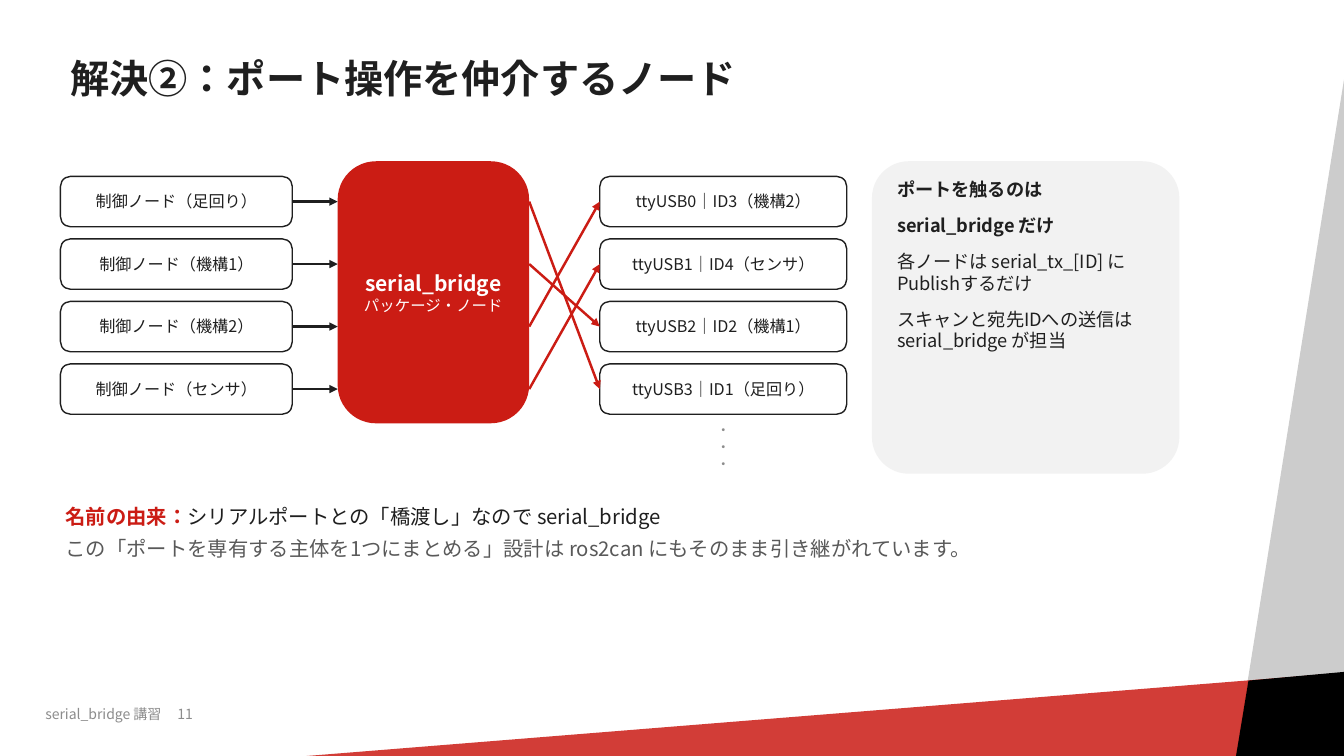
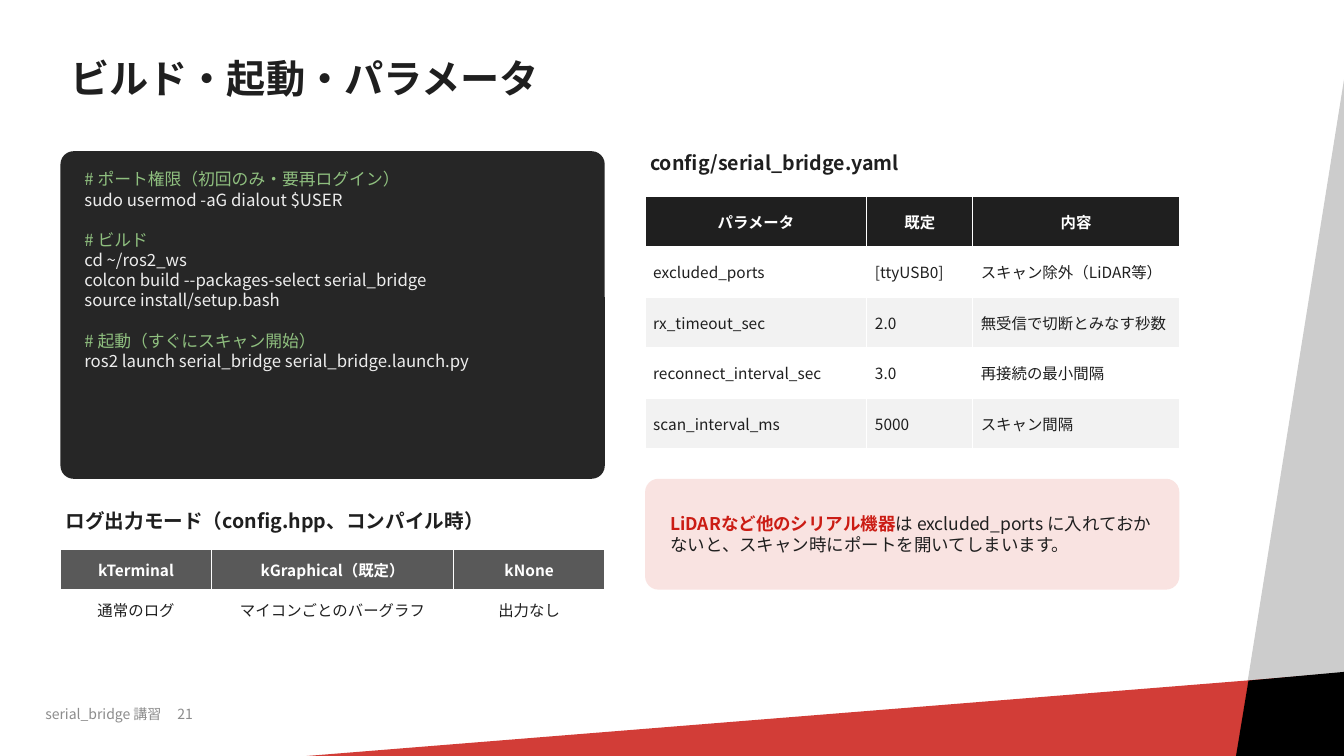
import pptx
import pptx.dml.color
import pptx.enum.lang
import pptx.enum.shapes
import pptx.enum.text
import pptx.oxml
import pptx.oxml.ns
import pptx.util
import lxml.etree

FONT = "Noto Sans CJK JP"
INK, WHITE, RED = "1F1F1F", "FFFFFF", "CB1C14"
DARK_GRAY, GRAY, BAND_GRAY, PALE_GRAY = "595959", "8C8C8C", "CCCCCC", "F2F2F2"
PALE_RED, CODE_BACK, CODE_TEXT, CODE_COMMENT = "F9E3E1", "262626", "EDEDED", "8FBF7F"
COLUMNS, ROWS = 133.33, 75
LEFT_EDGE, RIGHT_EDGE = 6, 117
NODE_TOP, NODE_PITCH, NODE_HEIGHT, NODE_COUNT = 17.5, 6.2, 5, 4
ALIGN = pptx.enum.text.PP_ALIGN
ANCHOR = pptx.enum.text.MSO_ANCHOR
SHAPE = pptx.enum.shapes.MSO_SHAPE


def grid(steps):
    """Turn grid steps, ten to the inch, into a length."""
    return pptx.util.Inches(steps / 10)


def color(value):
    """Turn a hex string into a colour."""
    return pptx.dml.color.RGBColor.from_string(value)


def child(parent, tag, **attributes):
    """Append a drawing element to a parent element."""
    return lxml.etree.SubElement(parent, pptx.oxml.ns.qn(tag), attributes)


def write(frame, paragraphs, size, align=ALIGN.LEFT, after=0):
    """Fill a text frame with paragraphs of (text, colour, bold, size) runs."""
    for index, runs in enumerate(paragraphs):
        paragraph = frame.add_paragraph() if index else frame.paragraphs[0]
        paragraph.alignment = align
        paragraph.space_after = pptx.util.Pt(after)
        for text, value, bold, *own_size in runs:
            run = paragraph.add_run()
            run.text = text
            run.font.size = pptx.util.Pt(own_size[0] if own_size else size)
            run.font.bold = bold
            run.font.color.rgb = color(value)
            run.font.name = FONT
            run.font.language_id = pptx.enum.lang.MSO_LANGUAGE_ID.JAPANESE
            child(run.font._element, "a:ea", typeface=FONT)


def prepare(frame, horizontal, vertical, anchor):
    """Set wrapping, margins and anchor of a frame or table cell."""
    frame.word_wrap = True
    frame.margin_left = frame.margin_right = grid(horizontal)
    frame.margin_top = frame.margin_bottom = grid(vertical)
    frame.vertical_anchor = anchor


def add_text(slide, area, paragraphs, size, margins=(0.5, 0.5),
             anchor=ANCHOR.TOP, align=ALIGN.LEFT, after=4):
    """Add a text box on the grid and return its frame."""
    frame = slide.shapes.add_textbox(*map(grid, area)).text_frame
    prepare(frame, *margins, anchor)
    write(frame, paragraphs, size, align, after)
    return frame


def add_filled(slide, kind, area, fill):
    """Add a preset shape with a plain fill and no line."""
    shape = slide.shapes.add_shape(kind, *map(grid, area))
    shape.shadow.inherit = False
    shape.fill.solid()
    shape.fill.fore_color.rgb = color(fill)
    shape.line.fill.background()
    return shape


def add_panel(slide, area, fill, radius, outline=None):
    """Add a rounded rectangle on the grid."""
    shape = add_filled(slide, SHAPE.ROUNDED_RECTANGLE, area, fill)
    shape.adjustments[0] = radius
    if outline:
        shape.line.color.rgb = color(outline)
        shape.line.width = pptx.util.Pt(1)
    return shape


def add_node(slide, area, paragraphs, size, fill=WHITE, outline=INK):
    """Add a rounded box with centred text."""
    shape = add_panel(slide, area, fill, 0.2, outline)
    prepare(shape.text_frame, 0.8, 0.4, ANCHOR.MIDDLE)
    write(shape.text_frame, paragraphs, size, ALIGN.CENTER)
    return shape


def add_node_stack(slide, left, width, labels):
    """Add a column of equal boxes, one for each label."""
    return [add_node(slide, (left, NODE_TOP + row * NODE_PITCH, width, NODE_HEIGHT),
                     [[(label, INK, False)]], 11.5)
            for row, label in enumerate(labels)]


def add_arrow(slide, start, end, value):
    """Add a straight arrow between two grid points."""
    arrow = slide.shapes.add_connector(
        pptx.enum.shapes.MSO_CONNECTOR.STRAIGHT, *map(grid, start + end))
    arrow.line.color.rgb = color(value)
    arrow.line.width = pptx.util.Pt(1.75)
    child(arrow.line._get_or_add_ln(), "a:tailEnd", type="triangle")
    child(arrow._element.spPr, "a:effectLst")
    return arrow


def add_bands(slide):
    """Add the three slanted bands that bleed over the lower right corner."""
    gray = add_filled(slide, SHAPE.RECTANGLE, (62.9, 62.7, 136.7, 15.7), BAND_GRAY)
    gray.rotation = 279.1
    red = add_filled(slide, SHAPE.RECTANGLE, (5.9, 71.5, 136.7, 11.5), RED)
    red.rotation = 355.4
    value = red._element.spPr.find(".//" + pptx.oxml.ns.qn("a:srgbClr"))
    child(value, "a:alpha", val="85000")
    black = add_filled(slide, SHAPE.PARALLELOGRAM, (121.3, 66.9, 19.2, 11.8), "000000")
    black.adjustments[0] = 0.26
    black.rotation = 354.8


def add_table(slide, left, top, widths, row_height, rows, header_fill, body_align):
    """Add a table with a dark header and striped rows."""
    table = slide.shapes.add_table(
        len(rows), len(widths), grid(left), grid(top),
        grid(sum(widths)), grid(row_height * len(rows))).table
    for column, width in zip(table.columns, widths):
        column.width = grid(width)
    for row_index, texts in enumerate(rows):
        header = row_index == 0
        stripe = WHITE if row_index % 2 else PALE_GRAY
        table.rows[row_index].height = grid(row_height)
        for column_index, text in enumerate(texts):
            cell = table.cell(row_index, column_index)
            prepare_cell(cell, header_fill if header else stripe)
            write(cell.text_frame, [[(text, WHITE if header else INK, header)]], 11,
                  ALIGN.CENTER if header else body_align)


def prepare_cell(cell, fill):
    """Give a cell its margins, white borders and fill."""
    prepare(cell, 0.8, 0.3, ANCHOR.MIDDLE)
    properties = cell._tc.get_or_add_tcPr()
    for side in ("a:lnL", "a:lnR", "a:lnT", "a:lnB"):
        border = child(properties, side, w=str(pptx.util.Pt(1)))
        child(child(border, "a:solidFill"), "a:srgbClr", val=WHITE)
    cell.fill.solid()
    cell.fill.fore_color.rgb = color(fill)


def add_code(slide, area, lines):
    """Add a dark code panel with a gap before each later comment."""
    frame = add_panel(slide, area, CODE_BACK, 0.04).text_frame
    prepare(frame, 2, 1.4, ANCHOR.TOP)
    write(frame, [[(line, CODE_COMMENT if line.startswith("#") else CODE_TEXT, False)]
                  for line in lines], 12)
    for paragraph in frame.paragraphs[1:]:
        if paragraph.text.startswith("#"):
            paragraph.space_before = pptx.util.Pt(14.4)


def add_base_slide(presentation, title, number):
    """Add a slide with the shared bands, title and footer."""
    slide = presentation.slides.add_slide(presentation.slide_layouts[6])
    add_bands(slide)
    frame = add_text(slide, (LEFT_EDGE, 3.5, 86, 9), [[(title, INK, True)]], 28,
                     (1, 0.5), ANCHOR.MIDDLE)
    frame.paragraphs[0].line_spacing = 0.9
    footer = add_text(slide, (4.5, 70, 40, 3),
                      [[(f"serial_bridge 講習\t{number}", GRAY, False)]], 10, (0, 0))
    tabs = child(footer.paragraphs[0]._p.get_or_add_pPr(), "a:tabLst")
    child(tabs, "a:tab", pos=str(grid(13.1)), algn="l")
    return slide


def build_bridge_slide(presentation):
    """Show how one node mediates every port."""
    slide = add_base_slide(presentation, "解決②：ポート操作を仲介するノード", 11)
    controls = add_node_stack(slide, LEFT_EDGE, 23, [
        f"制御ノード（{part}）" for part in ("足回り", "機構1", "機構2", "センサ")])
    bridge_left, bridge_right, port_left, port_width = 33.5, 52.5, 59.5, 24.5
    add_node(slide, (bridge_left, 16, bridge_right - bridge_left, 26),
             [[("serial_bridge", WHITE, True, 15)], [("パッケージ・ノード", WHITE, False)]],
             11, RED, None)
    ports = add_node_stack(slide, port_left, port_width, [
        "ttyUSB0｜ID3（機構2）", "ttyUSB1｜ID4（センサ）",
        "ttyUSB2｜ID2（機構1）", "ttyUSB3｜ID1（足回り）"])
    middles = [NODE_TOP + NODE_HEIGHT / 2 + row * NODE_PITCH for row in range(NODE_COUNT)]
    for control, middle, target in zip(controls, middles, (3, 2, 0, 1)):
        incoming = add_arrow(slide, (29, middle), (bridge_left, middle), INK)
        incoming.begin_connect(control, 3)
        outgoing = add_arrow(slide, (bridge_right, middle), (port_left, middles[target]), RED)
        outgoing.end_connect(ports[target], 1)
    for dot in range(3):
        add_text(slide, (port_left, 41.8 + dot * 1.7, port_width, 2),
                 [[("・", GRAY, False)]], 10, (0, 0), align=ALIGN.CENTER)
    add_panel(slide, (86.5, 16, RIGHT_EDGE - 86.5, 31), PALE_GRAY, 0.12)
    add_text(slide, (88.5, 17.2, 27, 29), [
        [("ポートを触るのは", INK, True)],
        [("serial_bridge だけ", INK, True)],
        [("各ノードは serial_tx_[ID] にPublishするだけ", INK, False)],
        [("スキャンと宛先IDへの送信は serial_bridge が担当", INK, False)]], 13, after=10)
    add_text(slide, (LEFT_EDGE, 49.5, RIGHT_EDGE - LEFT_EDGE, 13), [
        [("名前の由来：", RED, True),
         ("シリアルポートとの「橋渡し」なので serial_bridge", INK, False)],
        [("この「ポートを専有する主体を1つにまとめる」設計は ros2can にもそのまま引き継がれています。",
          DARK_GRAY, False)]], 14.5, after=6)


def build_launch_slide(presentation):
    """Show build commands, parameters and log modes."""
    slide = add_base_slide(presentation, "ビルド・起動・パラメータ", 21)
    left_width, right_start = 54, 64
    right_width = RIGHT_EDGE - right_start
    add_code(slide, (LEFT_EDGE, 15, left_width, 32.5), [
        "# ポート権限（初回のみ・要再ログイン）",
        "sudo usermod -aG dialout $USER",
        "# ビルド",
        "cd ~/ros2_ws",
        "colcon build --packages-select serial_bridge",
        "source install/setup.bash",
        "# 起動（すぐにスキャン開始）",
        "ros2 launch serial_bridge serial_bridge.launch.py"])
    add_text(slide, (right_start, 14.5, right_width, 4.5),
             [[("config/serial_bridge.yaml", INK, True)]], 14)
    add_table(slide, right_start, 19.5, (22, 10.5, 20.5), 5, [
        ("パラメータ", "既定", "内容"),
        ("excluded_ports", "[ttyUSB0]", "スキャン除外（LiDAR等）"),
        ("rx_timeout_sec", "2.0", "無受信で切断とみなす秒数"),
        ("reconnect_interval_sec", "3.0", "再接続の最小間隔"),
        ("scan_interval_ms", "5000", "スキャン間隔")], INK, ALIGN.LEFT)
    add_text(slide, (LEFT_EDGE, 50, left_width, 4.5),
             [[("ログ出力モード（config.hpp、コンパイル時）", INK, True)]], 14)
    add_table(slide, LEFT_EDGE, 54.5, (15, 24, 15), 4, [
        ("kTerminal", "kGraphical（既定）", "kNone"),
        ("通常のログ", "マイコンごとのバーグラフ", "出力なし")], DARK_GRAY, ALIGN.CENTER)
    add_panel(slide, (right_start, 47.5, right_width, 11), PALE_RED, 0.12)
    add_text(slide, (right_start + 2, 48, right_width - 4, 10), [
        [("LiDARなど他のシリアル機器", RED, True),
         ("は excluded_ports に入れておかないと、スキャン時にポートを開いてしまいます。", INK, False)]],
        12.5, anchor=ANCHOR.MIDDLE)


def main():
    """Build and save the presentation."""
    presentation = pptx.Presentation()
    presentation.slide_width = grid(COLUMNS)
    presentation.slide_height = grid(ROWS)
    build_bridge_slide(presentation)
    build_launch_slide(presentation)
    presentation.save("out.pptx")


if __name__ == "__main__":
    main()
